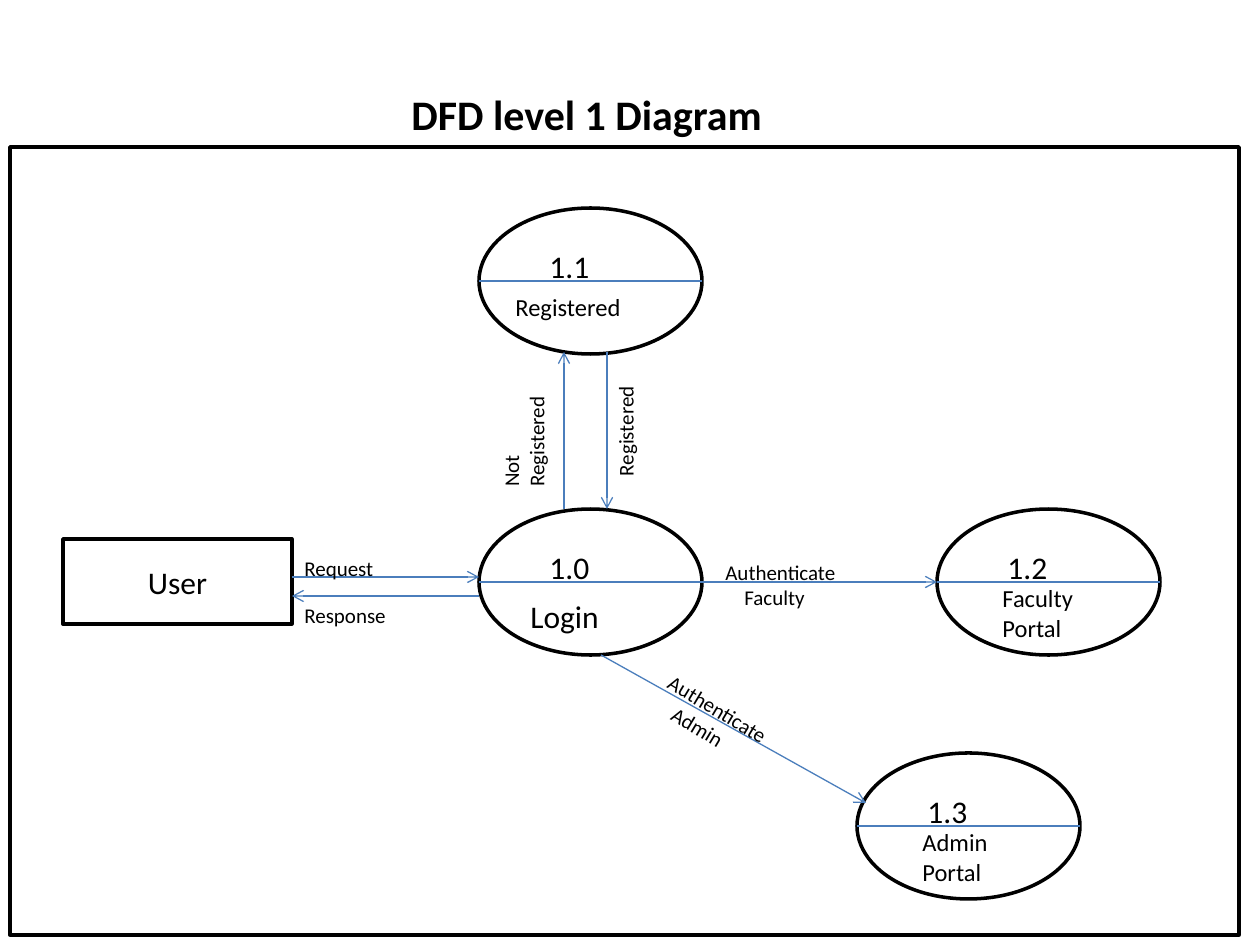
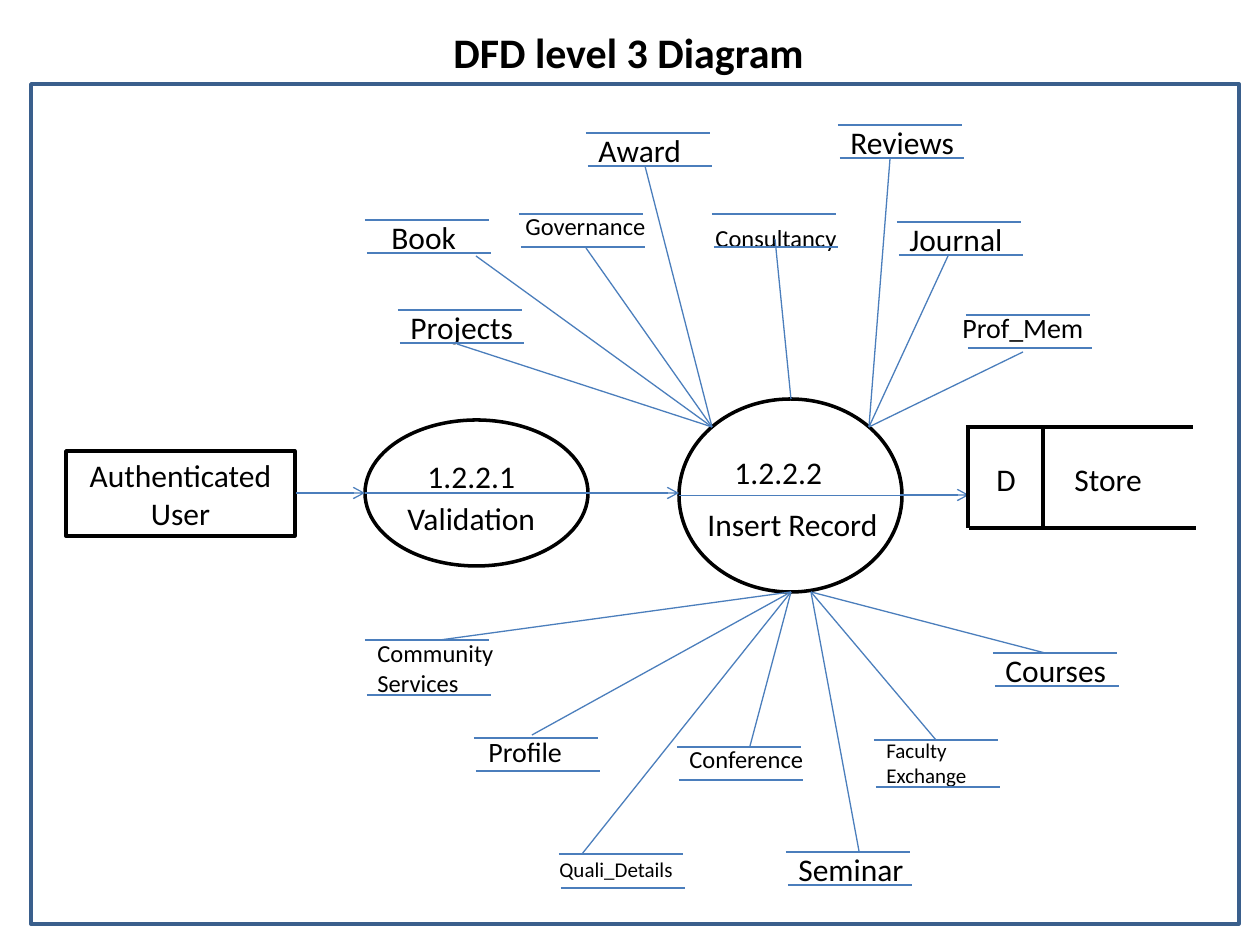
import pptx
import pptx.util
import pptx.dml.color
import pptx.enum.shapes
import pptx.enum.text
import pptx.oxml.ns
import lxml.etree

SCALE = 914400 / 126
FONT = "Calibri"
BLACK, WHITE, BLUE, NAVY = "000000", "FFFFFF", "4B7EBC", "3A5F8C"
OUTLINE, THIN, THICK = 2, 0.75, 2.75
PROCESS_WIDTH, LABEL_WIDTH = 223, 233
STORE_LINE, STORE_TEXT = 124, 147

# Process: left, top, height, number, its offset, label lines, their offset, label size
LEVEL_1 = {
    "title": ("DFD level 1 Diagram", (399, 82, 609, 63)),
    "frame": ((10, 147, 1229, 788), BLACK),
    "entity": (["User"], (63, 539, 229, 85)),
    "processes": [
        (479, 509, 146, "1.0", (58, 33), ["Login"], (39, 82), 18),
        (937, 509, 146, "1.2", (58, 33), ["Faculty", "Portal"], (53, 68), 14),
        (479, 208, 146, "1.1", (58, 33), ["Registered"], (24, 78), 14),
        (857, 753, 146, "1.3", (58, 33), ["Admin", "Portal"], (53, 68), 14),
    ],
    "arrows": [
        (292, 577, 479, 577), (479, 596, 292, 596), (693, 582, 937, 582),
        (564, 509, 564, 352), (607, 352, 607, 509), (601, 655, 866, 803),
    ],
}
# Flow label: lines, box, rotation, indent of the second line
FLOW_LABELS = [
    (["Request"], (292, 549, 144, 34), 0, 0),
    (["Response"], (292, 596, 165, 34), 0, 0),
    (["Authenticate", "Faculty"], (713, 553, 210, 57), 0, 19),
    (["Not", "Registered"], (467, 387, 137, 87), 270, 0),
    (["Registered"], (564, 394, 137, 52), 270, 0),
    (["Authenticate", "Admin"], (640, 708, 210, 57), 30.9, 19),
]

LEVEL_3 = {
    "title": ("DFD level 3 Diagram", (441, 20, 494, 63)),
    "frame": ((31, 84, 1208, 840), NAVY),
    "entity": (["Authenticated", "User"], (66, 451, 229, 85)),
    "processes": [
        (679, 399, 193, "1.2.2.2", (43, 48), ["Insert Record"], (16, 100), 18),
        (365, 420, 146, "1.2.2.1", (50, 31), ["Validation"], (30, 73), 18),
    ],
    "arrows": [(296, 493, 365, 493), (573, 493, 679, 493), (900, 495, 969, 495)],
}
# Store: lines, size, left and top of the upper line, gap to the lower line, text offset
STORES = [
    (["Award"], 18, 586, 133, 33, (0, -8)),
    (["Reviews"], 18, 838, 125, 33, (0, -8)),
    (["Book"], 18, 365, 220, 33, (14, -8)),
    (["Governance"], 14, 519, 214, 33, (-6, -9)),
    (["Consultancy"], 14, 712, 214, 33, (-9, 3)),
    (["Journal"], 18, 897, 222, 33, (0, -8)),
    (["Projects"], 18, 398, 310, 33, (0, -8)),
    (["Prof_Mem"], 16, 966, 315, 33, (-16, -11)),
    (["Community Services"], 14, 365, 640, 55, (0, -8)),
    (["Courses"], 18, 993, 653, 33, (0, -8)),
    (["Profile"], 16, 474, 738, 33, (2, -10)),
    (["Conference"], 14, 677, 747, 33, (0, -9)),
    (["Faculty", "Exchange"], 12, 874, 740, 47, (0, -9)),
    (["Quali_Details"], 12, 559, 854, 34, (-12, -4)),
    (["Seminar"], 18, 786, 852, 33, (0, -8)),
]
# Points on the rim of the Insert Record process and the stores joined to each
SPOKES = {
    (712, 427): [(457, 344), (586, 248), (645, 166), (476, 256)],
    (791, 399): [(775, 239)],
    (869, 427): [(890, 159), (948, 256), (1023, 352)],
    (791, 592): [(440, 640), (532, 735), (750, 746), (582, 854)],
    (811, 592): [(859, 851), (936, 740), (1045, 653)],
}
DATABASE_LINES = [
    (968, 427, 968, 528), (966, 427, 1193, 427),
    (969, 528, 1196, 528), (1043, 427, 1043, 528),
]
DATABASE_LABELS = [("D", (984, 454, 45, 50)), ("Store", (1062, 454, 103, 50))]


def px(value):
    """Turn pixels into EMU."""
    return pptx.util.Emu(round(value * SCALE))


def color(value):
    """Turn a hex string into a colour."""
    return pptx.dml.color.RGBColor.from_string(value)


def write(frame, lines, size, bold=False, centred=False, indent=0):
    """Write one paragraph per line, indenting those after the first."""
    align = pptx.enum.text.PP_ALIGN
    for index, line in enumerate(lines):
        para = frame.paragraphs[0] if index == 0 else frame.add_paragraph()
        para.alignment = align.CENTER if centred else align.LEFT
        if index and indent:
            para._p.get_or_add_pPr().set("marL", str(px(indent)))
        span = para.add_run()
        span.text = line
        span.font.color.rgb = color(BLACK)
        values = {"name": FONT, "size": pptx.util.Pt(size), "bold": bold}
        for name, value in values.items():
            setattr(span.font, name, value)


def add_text(page, lines, area, size, rotation=0, wrap=True, **style):
    """Add a text box."""
    box = page.shapes.add_textbox(*map(px, area))
    box.rotation = rotation
    box.text_frame.word_wrap = wrap
    write(box.text_frame, lines, size, **style)


def add_outline(page, kind, area, fill=WHITE, line=BLACK):
    """Add an outlined preset shape, unfilled when fill is None."""
    shape = page.shapes.add_shape(
        getattr(pptx.enum.shapes.MSO_SHAPE, kind), *map(px, area))
    shape.shadow.inherit = False
    if fill:
        shape.fill.solid()
        shape.fill.fore_color.rgb = color(fill)
    else:
        shape.fill.background()
    shape.line.color.rgb = color(line)
    shape.line.width = pptx.util.Pt(OUTLINE)
    return shape


def add_line(page, ends, arrow=False, line=BLUE, width=THIN):
    """Add a straight line, with an open arrowhead at its end if wanted."""
    link = page.shapes.add_connector(
        pptx.enum.shapes.MSO_CONNECTOR.STRAIGHT, *map(px, ends))
    link.line.color.rgb = color(line)
    link.line.width = pptx.util.Pt(width)
    qn = pptx.oxml.ns.qn
    if arrow:
        head = lxml.etree.SubElement(link.line._get_or_add_ln(), qn("a:tailEnd"))
        head.set("type", "arrow")
    lxml.etree.SubElement(link._element.spPr, qn("a:effectLst"))


def add_process(page, left, top, height, number, number_at, label, label_at, size):
    """Add an ellipse halved by a line, number above and label below."""
    add_outline(page, "OVAL", (left, top, PROCESS_WIDTH, height))
    middle = top + height / 2
    add_line(page, (left, middle, left + PROCESS_WIDTH, middle))
    for lines, (right, down), points in (([number], number_at, 18),
                                         (label, label_at, size)):
        area = (left + right, top + down, LABEL_WIDTH, 25 * len(lines) + 20)
        add_text(page, lines, area, points)


def add_store(page, lines, size, left, top, gap, offset):
    """Add a data store: a name between two lines."""
    area = (left + offset[0], top + offset[1], STORE_TEXT, gap + 16)
    add_text(page, lines, area, size)
    for shift, y in ((0, top), (2, top + gap)):
        add_line(page, (left + shift, y, left + shift + STORE_LINE, y))


def add_diagram(deck, diagram):
    """Add a page with the parts that both diagrams share."""
    page = deck.slides.add_slide(deck.slide_layouts[6])
    area, line = diagram["frame"]
    add_outline(page, "RECTANGLE", area, fill=None, line=line)
    title, area = diagram["title"]
    add_text(page, [title], area, 24, bold=True)
    lines, area = diagram["entity"]
    entity = add_outline(page, "RECTANGLE", area)
    entity.text_frame.word_wrap = True
    entity.text_frame.vertical_anchor = pptx.enum.text.MSO_ANCHOR.MIDDLE
    write(entity.text_frame, lines, 18, centred=True)
    for process in diagram["processes"]:
        add_process(page, *process)
    for ends in diagram["arrows"]:
        add_line(page, ends, arrow=True)
    return page


deck = pptx.Presentation()
deck.slide_width, deck.slide_height = px(1260), px(945)

page = add_diagram(deck, LEVEL_1)
for lines, area, rotation, indent in FLOW_LABELS:
    add_text(page, lines, area, 12, rotation=rotation, indent=indent)

page = add_diagram(deck, LEVEL_3)
for store in STORES:
    add_store(page, *store)
for hub, ends in SPOKES.items():
    for end in ends:
        add_line(page, hub + end)
for ends in DATABASE_LINES:
    add_line(page, ends, line=BLACK, width=THICK)
for label, area in DATABASE_LABELS:
    add_text(page, [label], area, 18, wrap=False)

deck.save("out.pptx")
